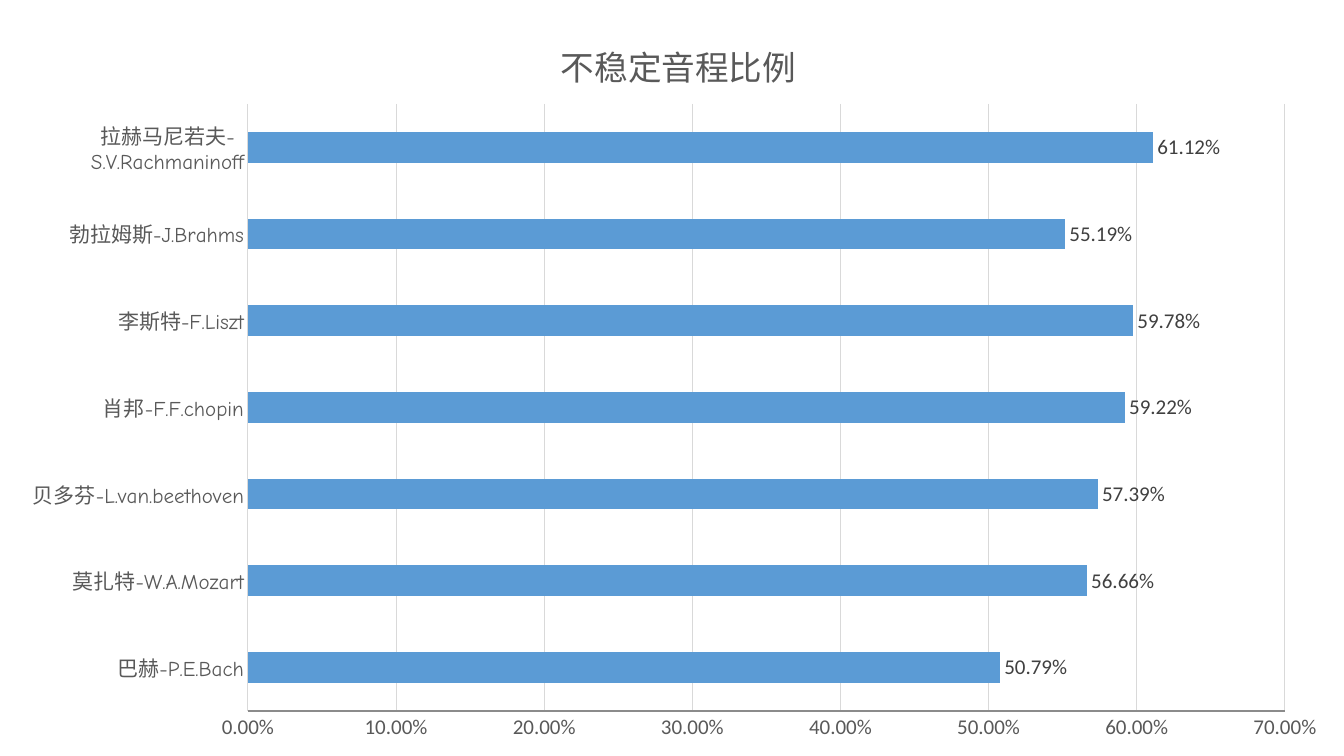
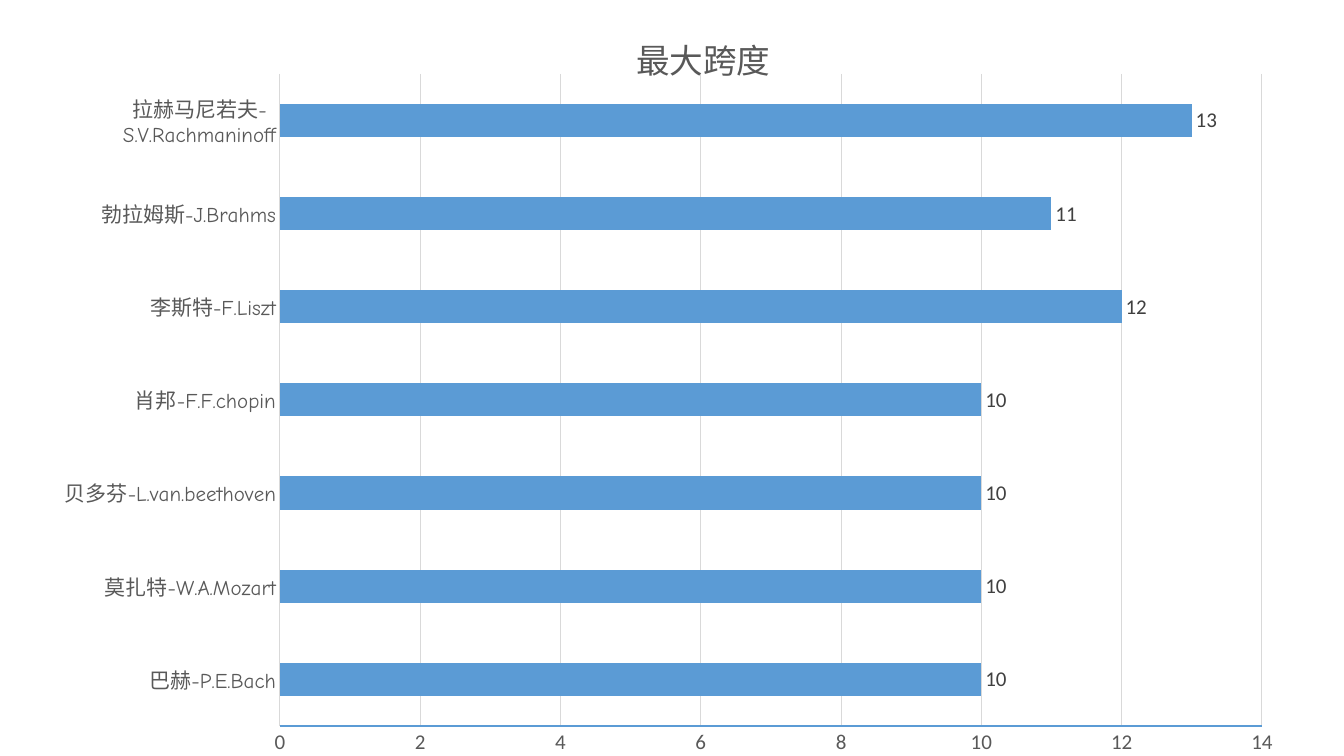
"""Build two bar chart slides comparing the intervals used by seven composers."""
from lxml import etree
from pptx import Presentation
from pptx import util as u
from pptx.chart.data import CategoryChartData
from pptx.dml.color import RGBColor
from pptx.enum import chart as charts

COMPOSERS = ["巴赫-P.E.Bach", "莫扎特-W.A.Mozart", "贝多芬-L.van.beethoven",
             "肖邦-F.F.chopin", "李斯特-F.Liszt", "勃拉姆斯-J.Brahms",
             "拉赫马尼若夫-S.V.Rachmaninoff"]

BLUE = RGBColor(0x5B, 0x9B, 0xD5)
GRID = RGBColor(0xD9, 0xD9, 0xD9)
AXIS = RGBColor(0x8B, 0x8B, 0x8B)
GREY = RGBColor(0x59, 0x59, 0x59)
DARK = RGBColor(0x40, 0x40, 0x40)
BODY, LATIN, CJK = "Calibri", "Comic Neue", "Noto Sans CJK SC"

SLIDES = [
    dict(title="不稳定音程比例", title_font=BODY, title_at=(555, 32),
         plot=(248, 104, 1037, 607), top=0.7, step=0.1, number="0.00%", line=AXIS,
         values=[0.5079, 0.5666, 0.5739, 0.5922, 0.5978, 0.5519, 0.6112]),
    dict(title="最大跨度", title_font=CJK, title_at=(630, 25),
         plot=(280, 74, 982, 652), top=14, step=2, number="General", line=BLUE,
         values=[10, 10, 10, 10, 12, 11, 13]),
]

WIDTH, HEIGHT = 1344, 756
PIXEL = 914400 / 100.8
C = "{http://schemas.openxmlformats.org/drawingml/2006/chart}"


def px(length):
    """Turn pixels into EMU."""
    return u.Emu(round(length * PIXEL))


def style(font, size=15, color=GREY, name=BODY):
    """Format a chart font."""
    font.size, font.name, font.bold = u.Pt(size), name, False
    font.color.rgb = color


def draw_line(line, color, width=0.75):
    """Format a chart line."""
    line.color.rgb = color
    line.width = u.Pt(width)


def layout(place, inner=False):
    """Return a manual layout for pixel left, top and optional width, height."""
    holder = etree.Element(C + "layout")
    manual = etree.SubElement(holder, C + "manualLayout")
    settings = [("layoutTarget", "inner")] if inner else []
    settings += [("xMode", "edge"), ("yMode", "edge")]
    sides = zip("xywh", place, (WIDTH, HEIGHT) * 2)
    settings += [(side, f"{length / whole:.4f}") for side, length, whole in sides]
    for tag, value in settings:
        etree.SubElement(manual, C + tag).set("val", value)
    return holder


def drop_layout(element):
    """Remove an automatic layout."""
    for old in element.findall(C + "layout"):
        element.remove(old)


def add_title(chart, words, font, place):
    """Add the chart title at a pixel position."""
    frame = chart.chart_title.text_frame
    frame.text = words
    style(frame.paragraphs[0].runs[0].font, 24, name=font)
    title = chart._chartSpace.find(f".//{C}title")
    drop_layout(title)
    title.find(C + "tx").addnext(layout(place))


def style_axes(chart, top, step, number, line):
    """Format the composer axis and the value axis."""
    names, values = chart.category_axis, chart.value_axis
    for axis, font, color, width in ((names, LATIN, GRID, 0.75), (values, BODY, line, 1)):
        axis.major_tick_mark = axis.minor_tick_mark = charts.XL_TICK_MARK.NONE
        style(axis.tick_labels.font, name=font)
        draw_line(axis.format.line, color, width)
    names.has_major_gridlines = False
    values.minimum_scale, values.maximum_scale, values.major_unit = 0, top, step
    values.has_major_gridlines = True
    draw_line(values.major_gridlines.format.line, GRID)
    values.tick_labels.number_format = number
    values.tick_labels.number_format_is_linked = False


def style_bars(bars, number):
    """Format the bars and their value labels."""
    bars.gap_width, bars.vary_by_categories = 182, False
    fill = bars.series[0].format.fill
    fill.solid()
    fill.fore_color.rgb = BLUE
    bars.has_data_labels = True
    labels = bars.data_labels
    labels.show_value = True
    labels.position = charts.XL_LABEL_POSITION.OUTSIDE_END
    labels.number_format, labels.number_format_is_linked = number, False
    style(labels.font, color=DARK)


def add_bar_slide(deck, title, title_font, title_at, plot, top, step, number, line, values):
    """Add a slide filled by one bar chart."""
    page = deck.slides.add_slide(deck.slide_layouts[6])
    data = CategoryChartData(number_format=number)
    data.categories = COMPOSERS
    data.add_series(title, values)
    chart = page.shapes.add_chart(charts.XL_CHART_TYPE.BAR_CLUSTERED, 0, 0,
                                  px(WIDTH), px(HEIGHT), data).chart
    chart.has_legend = False
    style(chart.font)
    add_title(chart, title, title_font, title_at)
    style_axes(chart, top, step, number, line)
    style_bars(chart.plots[0], number)
    area = chart._chartSpace.find(f".//{C}plotArea")
    drop_layout(area)
    area.insert(0, layout(plot, inner=True))


deck = Presentation()
deck.slide_width, deck.slide_height = px(WIDTH), px(HEIGHT)
for content in SLIDES:
    add_bar_slide(deck, **content)
deck.save("out.pptx")
